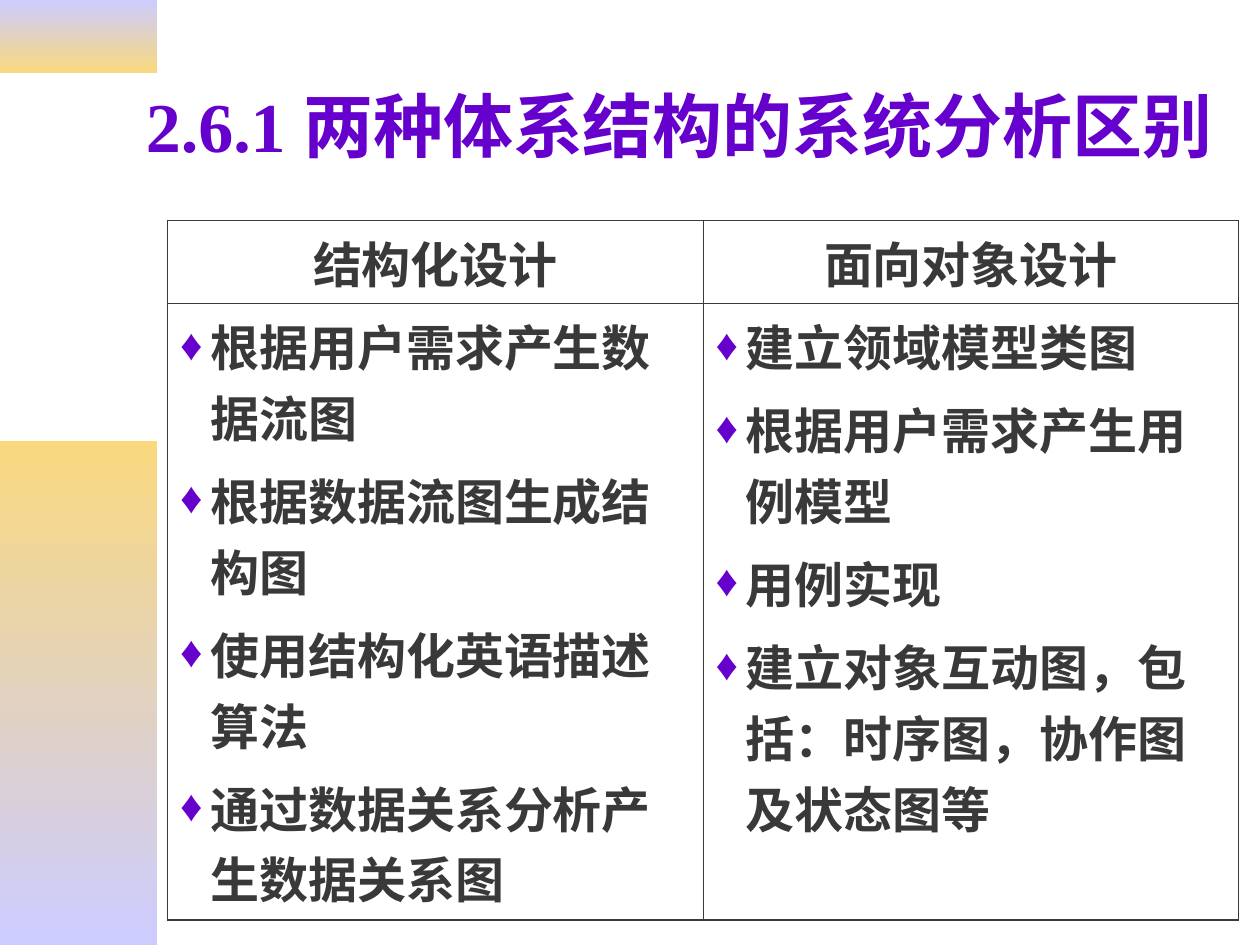
from lxml.etree import SubElement
from pptx import Presentation
from pptx.dml.color import RGBColor
from pptx.enum.shapes import MSO_SHAPE as Shape
from pptx.enum.text import MSO_ANCHOR as Anchor, PP_ALIGN as Align
from pptx.oxml.ns import qn
from pptx.util import Inches, Pt

FONT = "Times New Roman"
PURPLE = RGBColor(0x66, 0x00, 0xCC)
CHARCOAL = RGBColor(0x39, 0x39, 0x39)
LAVENDER = RGBColor(0xCC, 0xCC, 0xFF)
GOLD = RGBColor(0xF9, 0xD8, 0x7E)
OUTER_LINE, INNER_LINE = Pt(1.08), Pt(0.45)
BULLET_INDENT = Inches(0.24)
ROW_HEIGHTS = (0.66, 4.89)

COLUMNS = {
    "结构化设计": [
        "根据用户需求产生数据流图",
        "根据数据流图生成结构图",
        "使用结构化英语描述算法",
        "通过数据关系分析产生数据关系图",
    ],
    "面向对象设计": [
        "建立领域模型类图",
        "根据用户需求产生用例模型",
        "用例实现",
        "建立对象互动图，包括：时序图，协作图及状态图等",
    ],
}


def set_font(paragraph, size, color):
    font = paragraph.font
    font.name = FONT
    font.size = Pt(size)
    font.bold = True
    font.color.rgb = color


def add_gradient_band(slide, top, height, top_color, bottom_color):
    band = slide.shapes.add_shape(
        Shape.RECTANGLE, 0, Inches(top), Inches(1.25), Inches(height))
    band.shadow.inherit = False
    band.line.fill.background()
    band.fill.gradient()
    band.fill.gradient_angle = 270
    for stop, color, position in zip(
            band.fill.gradient_stops, (top_color, bottom_color), (0, 1)):
        stop.color.rgb = color
        stop.position = position


def add_title(slide, title):
    box = slide.shapes.add_textbox(
        Inches(1.06), Inches(0.33), Inches(8.77), Inches(1.32))
    frame = box.text_frame
    frame.word_wrap = True
    frame.vertical_anchor = Anchor.MIDDLE
    frame.text = title
    set_font(frame.paragraphs[0], 40, PURPLE)


def add_bullet(paragraph):
    properties = paragraph._p.get_or_add_pPr()
    properties.set("marL", str(BULLET_INDENT))
    properties.set("indent", str(-BULLET_INDENT))
    color = SubElement(properties, qn("a:buClr"))
    SubElement(color, qn("a:srgbClr"), val=str(PURPLE))
    SubElement(properties, qn("a:buSzPct"), val="90000")
    SubElement(properties, qn("a:buFont"), typeface=FONT)
    SubElement(properties, qn("a:buChar"), char="♦")


def set_borders(cell, outer_sides):
    properties = cell._tc.get_or_add_tcPr()
    for side in "LRTB":
        width = OUTER_LINE if side in outer_sides else INNER_LINE
        line = SubElement(properties, qn(f"a:ln{side}"), w=str(width))
        fill = SubElement(line, qn("a:solidFill"))
        SubElement(fill, qn("a:srgbClr"), val=str(CHARCOAL))


def fill_cell(cell, items, outer_sides, bulleted):
    set_borders(cell, outer_sides)
    cell.fill.background()
    frame = cell.text_frame
    frame.text = "\n".join(items)
    for index, paragraph in enumerate(frame.paragraphs):
        if index:
            paragraph.space_before = Pt(7)
        if bulleted:
            add_bullet(paragraph)
        else:
            paragraph.alignment = Align.CENTER
        set_font(paragraph, 28, CHARCOAL)


def add_comparison_table(slide):
    table = slide.shapes.add_table(
        len(ROW_HEIGHTS), len(COLUMNS), Inches(1.33), Inches(1.75),
        Inches(8.5), Inches(sum(ROW_HEIGHTS))).table
    table.first_row = False
    table.horz_banding = False
    for row, height in zip(table.rows, ROW_HEIGHTS):
        row.height = Inches(height)
    for column, (heading, items) in enumerate(COLUMNS.items()):
        side = "LR"[column]
        fill_cell(table.cell(0, column), [heading], side + "T", False)
        fill_cell(table.cell(1, column), items, side + "B", True)


def main():
    presentation = Presentation()
    presentation.slide_width = Inches(10)
    presentation.slide_height = Inches(7.5)
    slide = presentation.slides.add_slide(presentation.slide_layouts[6])
    add_gradient_band(slide, 0, 0.58, LAVENDER, GOLD)
    add_gradient_band(slide, 3.5, 4, GOLD, LAVENDER)
    add_title(slide, "2.6.1 两种体系结构的系统分析区别")
    add_comparison_table(slide)
    presentation.save("out.pptx")


if __name__ == "__main__":
    main()
